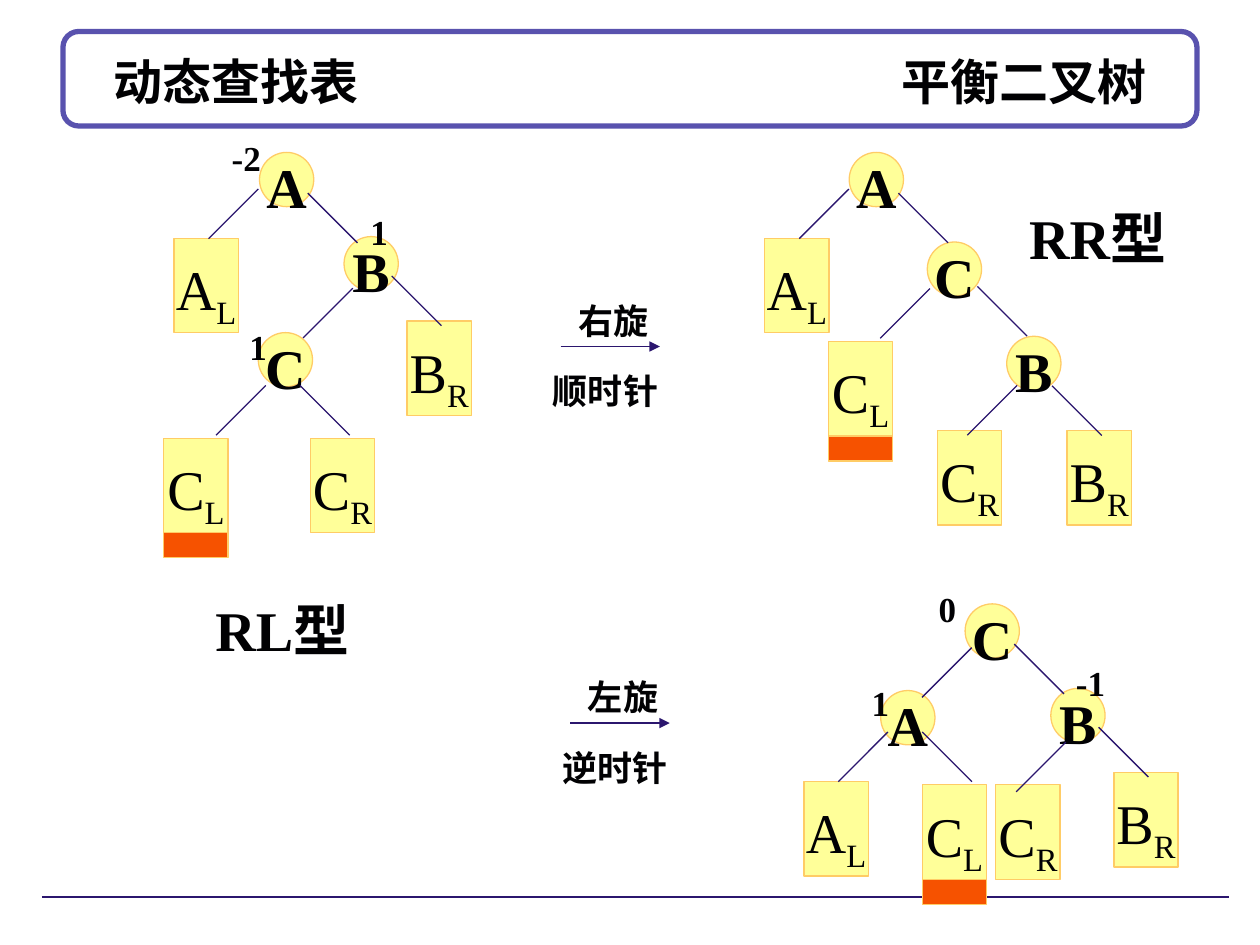
from dataclasses import dataclass

from pptx import Presentation
from pptx.dml.color import RGBColor
from pptx.enum.shapes import MSO_CONNECTOR, MSO_SHAPE
from pptx.enum.text import MSO_ANCHOR, PP_ALIGN
from pptx.oxml.ns import qn
from pptx.util import Pt
from lxml.etree import SubElement


@dataclass
class Theme:
    ink: str = "010103"
    paper: str = "FFFFFF"
    frame: str = "5952AE"
    edge: str = "2B166E"
    node: str = "FFFF99"
    outline: str = "FFCC66"
    marker: str = "F65200"
    serif: str = "Times New Roman"
    sans: str = "Lato"
    title: int = 28
    symbol: int = 32
    note: int = 20


class SlideBuilder:
    NODE = 31
    LEAF_W, LEAF_H = 36.7, 54
    MARKER_H = 14.4
    STEP = 28.4

    def __init__(self, s, theme):
        self.s = s
        self.t = theme

    def run(self, p, text, size, font=None, bold=True):
        r = p.add_run()
        r.text = text
        r.font.name = font or self.t.serif
        r.font.size = Pt(size)
        r.font.bold = bold
        r.font.color.rgb = RGBColor.from_string(self.t.ink)
        return r

    def insets(self, tf, top):
        tf.margin_left = tf.margin_right = Pt(7.2)
        tf.margin_top, tf.margin_bottom = Pt(top), Pt(3.6)

    def shape(self, kind, x, y, w, h, fill, line, width=0.75):
        sp = self.s.shapes.add_shape(kind, Pt(x), Pt(y), Pt(w), Pt(h))
        sp.shadow.inherit = False
        sp.fill.solid()
        sp.fill.fore_color.rgb = RGBColor.from_string(fill)
        sp.line.color.rgb = RGBColor.from_string(line)
        sp.line.width = Pt(width)
        return sp

    def line(self, x1, y1, x2, y2, arrow=False):
        cn = self.s.shapes.add_connector(
            MSO_CONNECTOR.STRAIGHT, Pt(x1), Pt(y1), Pt(x2), Pt(y2))
        cn.line.color.rgb = RGBColor.from_string(self.t.edge)
        cn.line.width = Pt(0.75)
        if arrow:
            SubElement(cn.line._get_or_add_ln(), qn("a:tailEnd"), type="triangle")
        SubElement(cn.element.spPr, qn("a:effectLst"))

    def title(self, left, right):
        self.shape(MSO_SHAPE.ROUNDED_RECTANGLE, 36, 18, 648, 54,
                   self.t.paper, self.t.frame, 3)
        sp = self.s.shapes.title
        sp.element.getparent().append(sp.element)
        sp.left, sp.top, sp.width, sp.height = Pt(36), Pt(23.8), Pt(648), Pt(44.6)
        tf = sp.text_frame
        tf.vertical_anchor = MSO_ANCHOR.MIDDLE
        tf.margin_left = Pt(29)
        tf.margin_right = tf.margin_top = tf.margin_bottom = 0
        p = tf.paragraphs[0]
        p.alignment = PP_ALIGN.LEFT
        tabs = SubElement(p._p.get_or_add_pPr(), qn("a:tabLst"))
        SubElement(tabs, qn("a:tab"), pos=str(Pt(590)), algn="r")
        for text in (left, "\t", right):
            self.run(p, text, self.t.title)

    def symbol(self, kind, x, y, w, h, name, sub=""):
        sp = self.shape(kind, x, y, w, h, self.t.node, self.t.outline)
        tf = sp.text_frame
        tf.word_wrap = False
        tf.vertical_anchor = MSO_ANCHOR.MIDDLE
        self.insets(tf, 7.6)
        p = tf.paragraphs[0]
        p.alignment = PP_ALIGN.CENTER
        p.line_spacing = 1.1
        self.run(p, name, self.t.symbol, bold=not sub)
        if sub:
            r = self.run(p, sub, self.t.symbol, bold=False)
            r.font._element.set("baseline", "-25000")

    def node(self, name, x, y):
        self.symbol(MSO_SHAPE.OVAL, x, y, self.NODE, self.NODE, name)

    def leaf(self, label, x, y, marked=False):
        self.symbol(MSO_SHAPE.RECTANGLE, x, y, self.LEAF_W, self.LEAF_H, *label)
        if marked:
            self.shape(MSO_SHAPE.RECTANGLE, x, y + self.LEAF_H, self.LEAF_W,
                       self.MARKER_H, self.t.marker, self.t.outline)

    def text(self, text, x, y, w, h, size, font=None):
        sp = self.s.shapes.add_textbox(Pt(x), Pt(y), Pt(w), Pt(h))
        tf = sp.text_frame
        tf.word_wrap = True
        self.insets(tf, 5)
        p = tf.paragraphs[0]
        p.line_spacing = 1.1
        self.run(p, text, size, font)

    def tree(self, nodes, leaves, edges, factors=()):
        for node in nodes:
            self.node(*node)
        for leaf in leaves:
            self.leaf(*leaf)
        for x, y, side in edges:
            self.line(x, y, x + side * self.STEP, y + self.STEP)
        for factor, x, y in factors:
            self.text(factor, x, y, 36.7, 33.8, self.t.note)

    def rotation(self, x, y, name, direction):
        self.line(x, y, x + 56.7, y, arrow=True)
        self.text(name, x + 2.9, y - 34.3, 57, 33.8, self.t.note, self.t.sans)
        self.text(direction, x - 11.5, y + 5.8, 85, 33.8, self.t.note, self.t.sans)

    def kind(self, text, x, y):
        self.text(text, x, y, 120, 49.7, self.t.symbol)


LEFT, RIGHT = -1, 1


def main():
    prs = Presentation()
    prs.slide_width, prs.slide_height = Pt(720), Pt(540)
    b = SlideBuilder(prs.slides.add_slide(prs.slide_layouts[5]), Theme())

    b.title("动态查找表", "平衡二叉树")
    b.line(24, 512.6, 702, 512.6)

    b.tree(
        nodes=[("C", 147.6, 190.1), ("B", 196.6, 135.2), ("A", 148.3, 87.1)],
        leaves=[("AL", 99.4, 136.1), ("CL", 93.6, 250.4, True),
                ("CR", 177.3, 250.4), ("BR", 232.6, 183.4)],
        edges=[(147.6, 108, LEFT), (175.9, 110.4, RIGHT), (201.6, 164.7, LEFT),
               (223.9, 157.7, RIGHT), (151.9, 220.3, LEFT), (171.4, 220.3, RIGHT)],
        factors=[("1", 204.5, 113), ("1", 135.4, 178.6), ("-2", 125.3, 70.6)],
    )
    b.tree(
        nodes=[("A", 503.3, 394.6), ("B", 600.5, 393.4), ("C", 551.5, 345.1)],
        leaves=[("AL", 459.4, 446.6), ("CL", 527, 448.4, True),
                ("CR", 569, 448.4), ("BR", 636.5, 441.4)],
        edges=[(555.3, 370.1, LEFT), (579.6, 368.1, RIGHT), (507.4, 418.3, LEFT),
               (527, 418.3, RIGHT), (609.1, 424.1, LEFT), (627.8, 415.6, RIGHT)],
        factors=[("-1", 607.7, 370.8), ("1", 491, 382.3), ("0", 529.2, 328.3)],
    )
    b.tree(
        nodes=[("C", 529.9, 138.3), ("B", 575.3, 192.2), ("A", 485.3, 87.1)],
        leaves=[("AL", 437, 136.1), ("CL", 473.4, 195.1, True),
                ("BR", 609.7, 246), ("CR", 535.7, 246)],
        edges=[(485.1, 108, LEFT), (513.4, 110.4, RIGHT), (531.4, 164.9, LEFT),
               (558.5, 163.7, RIGHT), (581.2, 220.3, LEFT), (601.2, 220.5, RIGHT)],
    )
    b.rotation(320.4, 198, "右旋", "顺时针")
    b.rotation(326, 413.2, "左旋", "逆时针")
    b.kind("RL型", 116, 331.2)
    b.kind("RR型", 581, 107.3)

    prs.save("out.pptx")


if __name__ == "__main__":
    main()
